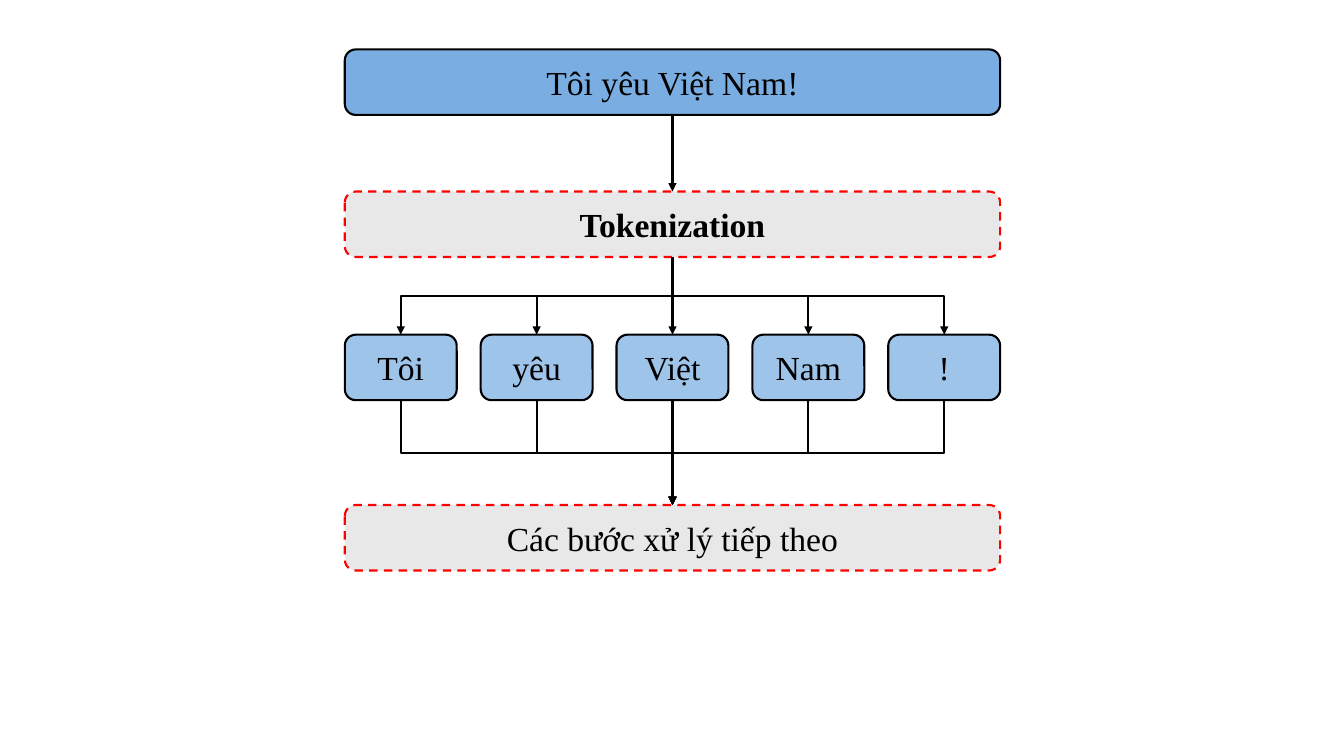
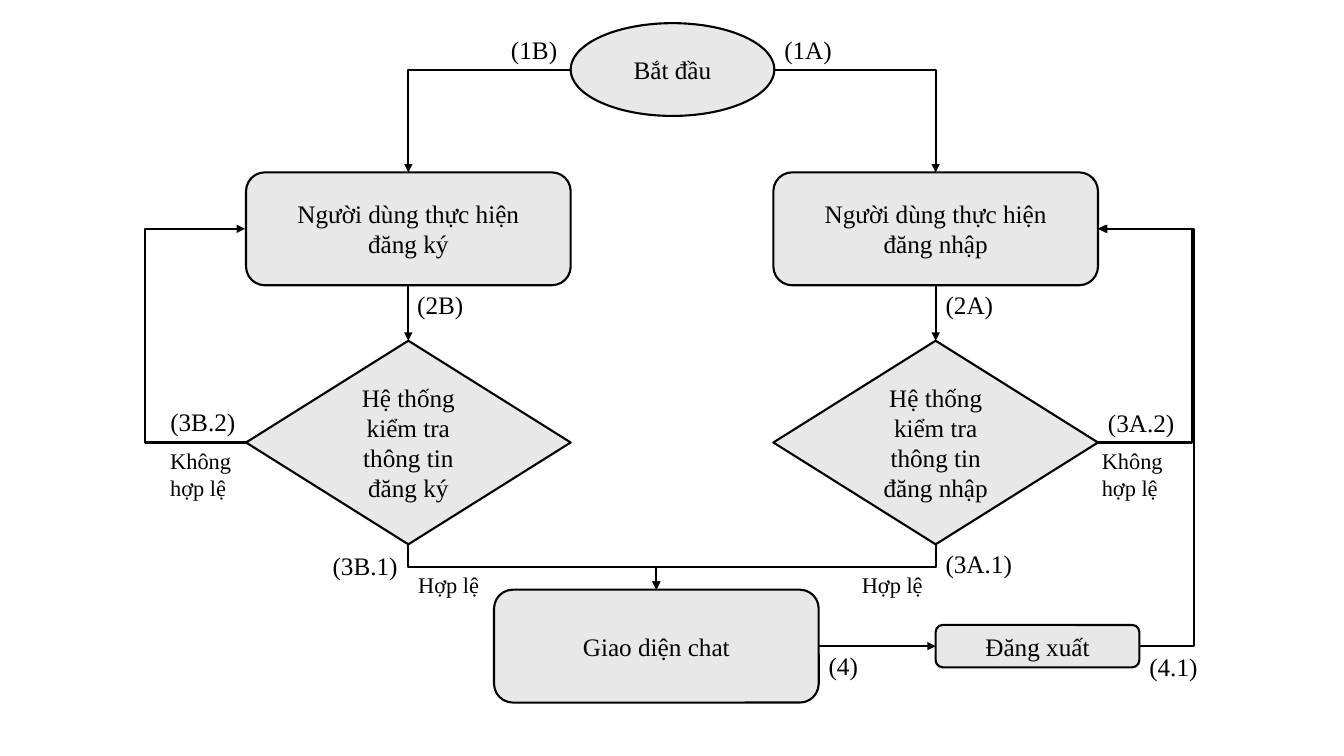
from dataclasses import dataclass
from enum import IntEnum
from typing import Optional

from lxml.etree import SubElement as Sub
from pptx import Presentation
from pptx.dml.color import RGBColor
from pptx.enum.dml import MSO_LINE as Dash
from pptx.enum.shapes import MSO_CONNECTOR as Wire, MSO_SHAPE as Form
from pptx.enum.text import MSO_ANCHOR as Anchor, MSO_AUTO_SIZE as Fit, PP_ALIGN as Align
from pptx.oxml.ns import qn
from pptx.shapes.autoshape import Shape
from pptx.slide import Slide
from pptx.text.text import TextFrame as Frame
from pptx.util import Emu, Inches, Pt

BLACK = RGBColor(0x00, 0x00, 0x00)
RED = RGBColor(0xFF, 0x00, 0x00)
GREY = RGBColor(0xE8, 0xE8, 0xE8)
BLUE = RGBColor(0x7A, 0xAE, 0xE2)
PALE = RGBColor(0x9E, 0xC4, 0xEA)
FONT = "Times New Roman"
STROKE = Pt(1.5)


class Side(IntEnum):
    TOP = 0
    LEFT = 1
    BASE = 2
    RIGHT = 3


@dataclass(frozen=True)
class Box:
    key: str
    text: str
    left: float
    top: float
    width: float
    height: float
    form: Form = Form.ROUNDED_RECTANGLE
    fill: RGBColor = GREY
    size: int = 18
    bold: bool = False
    dashed: bool = False


@dataclass(frozen=True)
class Link:
    start: str
    leave: Side
    end: str
    enter: Side
    via: Optional[float] = None


@dataclass(frozen=True)
class Label:
    text: str
    left: float
    top: float
    width: float
    height: float = 0.4
    size: int = 18


def write(frame: Frame, text: str, size: int, align: Align, bold: bool = False) -> None:
    for i, line in enumerate(text.split("\n")):
        para = frame.add_paragraph() if i else frame.paragraphs[0]
        para.alignment = align
        run = para.add_run()
        run.text = line
        font = run.font
        font.name, font.size, font.bold = FONT, Pt(size), bold
        font.color.rgb = BLACK


def add_box(slide: Slide, box: Box) -> Shape:
    shape = slide.shapes.add_shape(
        box.form, Inches(box.left), Inches(box.top), Inches(box.width), Inches(box.height)
    )
    shape.shadow.inherit = False
    shape.fill.solid()
    shape.fill.fore_color.rgb = box.fill
    shape.line.color.rgb = RED if box.dashed else BLACK
    shape.line.width = STROKE
    if box.dashed:
        shape.line.dash_style = Dash.DASH
    shape.text_frame.vertical_anchor = Anchor.MIDDLE
    write(shape.text_frame, box.text, box.size, Align.CENTER, box.bold)
    return shape


def add_label(slide: Slide, label: Label) -> None:
    shape = slide.shapes.add_textbox(
        Inches(label.left), Inches(label.top), Inches(label.width), Inches(label.height)
    )
    shape.text_frame.word_wrap = False
    shape.text_frame.auto_size = Fit.SHAPE_TO_FIT_TEXT
    write(shape.text_frame, label.text, label.size, Align.LEFT)


def point(shape: Shape, side: Side) -> tuple[int, int]:
    x = {Side.LEFT: 0, Side.RIGHT: shape.width}.get(side, shape.width // 2)
    y = {Side.TOP: 0, Side.BASE: shape.height}.get(side, shape.height // 2)
    return shape.left + x, shape.top + y


def add_link(slide: Slide, shapes: dict[str, Shape], link: Link) -> None:
    first, last = shapes[link.start], shapes[link.end]
    x1, y1 = point(first, link.leave)
    x2, y2 = point(last, link.enter)
    gap = Inches(0.01)
    wide, high = abs(x2 - x1), abs(y2 - y1)
    straight = link.via is None and min(wide, high) < gap
    turned = not straight and link.leave == Side.BASE
    corner = not straight and link.leave != Side.BASE and link.enter == Side.TOP
    angle = 0
    if turned:
        angle = 90 if x2 < x1 else 270
        left, top = (x1 + x2 - high) // 2, (y1 + y2 - wide) // 2
        ends = (left, left + high) if x2 < x1 else (left + high, left)
        (x1, x2), y1, y2 = ends, top, top + wide
    elif link.via is not None and wide < gap:
        x2 = x1 + (gap if Inches(link.via) > x1 else -gap)
    kind = Wire.STRAIGHT if straight else Wire.ELBOW
    wire = slide.shapes.add_connector(kind, Emu(x1), Emu(y1), Emu(x2), Emu(y2))
    wire.line.color.rgb = BLACK
    wire.line.width = STROKE
    props = wire._element.spPr
    if turned:
        props.find(qn("a:xfrm")).set("rot", str(angle * 60000))
    shape = props.find(qn("a:prstGeom"))
    if corner:
        shape.set("prst", "bentConnector2")
    if link.via is not None:
        bend = round((Inches(link.via) - x1) / (x2 - x1) * 100000)
        Sub(shape.find(qn("a:avLst")), qn("a:gd"), name="adj1", fmla=f"val {bend}")
    Sub(props.find(qn("a:ln")), qn("a:tailEnd"), type="triangle")
    Sub(props, qn("a:effectLst"))
    joints = wire._element.find(qn("p:nvCxnSpPr")).find(qn("p:cNvCxnSpPr"))
    for tag, node, side in (("stCxn", first, link.leave), ("endCxn", last, link.enter)):
        step = 2 if node.auto_shape_type == Form.OVAL else 1
        Sub(joints, qn(f"a:{tag}"), id=str(node.shape_id), idx=str(side * step))


def draw(slide: Slide, boxes: list[Box], links: list[Link], labels: list[Label]) -> None:
    shapes = {box.key: add_box(slide, box) for box in boxes}
    for link in links:
        add_link(slide, shapes, link)
    for label in labels:
        add_label(slide, label)


def token_flow(slide: Slide) -> None:
    left, full, small, tall = 3.42, 6.5, 1.11, 0.65
    words = ["Tôi", "yêu", "Việt", "Nam", "!"]
    pitch = (full - small) / (len(words) - 1)
    boxes = [
        Box("input", "Tôi yêu Việt Nam!", left, 0.49, full, tall, fill=BLUE, size=24),
        Box("split", "Tokenization", left, 1.9, full, tall, size=24, bold=True, dashed=True),
        Box("next", "Các bước xử lý tiếp theo", left, 5.01, full, tall, size=24, dashed=True),
    ]
    boxes += [
        Box(word, word, left + i * pitch, 3.32, small, tall, fill=PALE, size=24)
        for i, word in enumerate(words)
    ]
    pairs = [("input", "split")]
    for word in words:
        pairs += [("split", word), (word, "next")]
    draw(slide, boxes, [Link(a, Side.BASE, b, Side.TOP) for a, b in pairs], [])


def login_flow(slide: Slide) -> None:
    wide, tall, short = 3.22, 1.12, 2.02
    west, east = 2.44, 7.67
    boxes = [
        Box("start", "Bắt đầu", 5.66, 0.23, short, 0.92, Form.OVAL),
        Box("chat", "Giao diện chat", 4.9, 5.85, wide, tall),
        Box("exit", "Đăng xuất", 9.28, 6.2, short, 0.42),
    ]
    links = [
        Link("chat", Side.RIGHT, "exit", Side.LEFT),
        Link("exit", Side.RIGHT, "formA", Side.RIGHT, 11.84),
    ]
    for path, left, task, side, via in (
        ("A", east, "đăng nhập", Side.RIGHT, 11.84),
        ("B", west, "đăng ký", Side.LEFT, 1.42),
    ):
        form, check = f"form{path}", f"check{path}"
        boxes += [
            Box(form, f"Người dùng thực hiện\n{task}", left, 1.71, wide, tall),
            Box(check, f"Hệ thống kiểm tra thông tin {task}", left, 3.38, wide, 2.02, Form.DIAMOND),
        ]
        links += [
            Link("start", side, form, Side.TOP),
            Link(form, Side.BASE, check, Side.TOP),
            Link(check, side, form, side, via),
            Link(check, Side.BASE, "chat", Side.TOP),
        ]
    labels = [
        Label("(1A)", 7.68, 0.29, 0.68),
        Label("(1B)", 4.97, 0.29, 0.66),
        Label("(2A)", 9.28, 2.82, 0.68),
        Label("(2B)", 4.04, 2.82, 0.66),
        Label("(3A.1)", 9.28, 5.39, 0.87),
        Label("(3B.1)", 3.2, 5.41, 0.85),
        Label("(3A.2)", 10.89, 3.99, 0.87),
        Label("(3B.2)", 1.59, 3.98, 0.85),
        Label("(4)", 8.12, 6.4, 0.5),
        Label("(4.1)", 11.3, 6.41, 0.69),
    ]
    labels += [Label("Không\nhợp lệ", x, 4.39, 0.87, 0.64, 16) for x in (1.59, 10.83)]
    labels += [Label("Hợp lệ", x, 5.62, 0.83, 0.37, 16) for x in (4.05, 8.45)]
    draw(slide, boxes, links, labels)


def main() -> None:
    deck = Presentation()
    deck.slide_width, deck.slide_height = Inches(13.33), Inches(7.5)
    for fill in (token_flow, login_flow):
        fill(deck.slides.add_slide(deck.slide_layouts[6]))
    deck.save("out.pptx")


if __name__ == "__main__":
    main()
